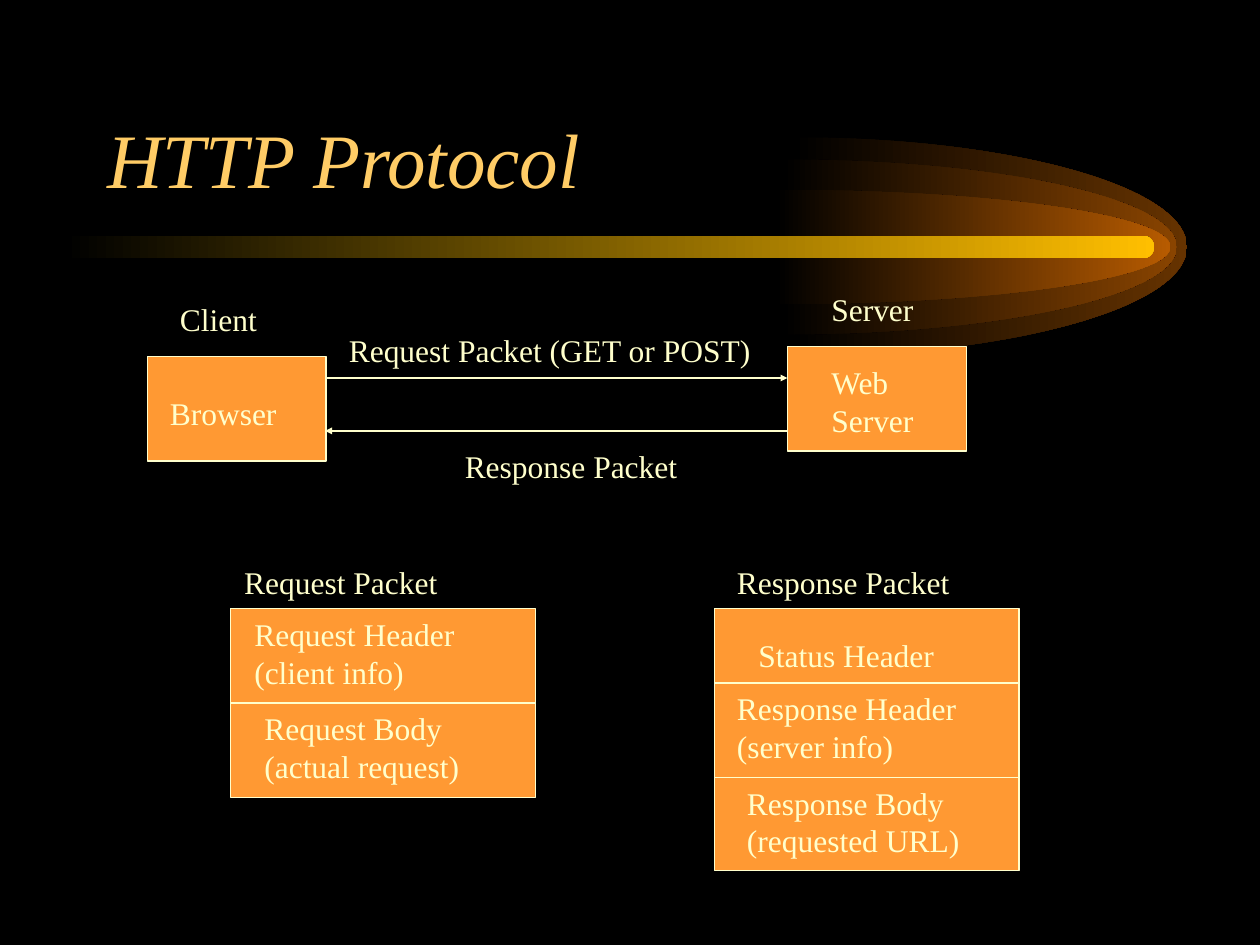
from lxml.etree import SubElement
from pptx import Presentation
from pptx.dml.color import RGBColor
from pptx.enum.shapes import MSO_CONNECTOR, MSO_SHAPE
from pptx.enum.text import MSO_ANCHOR, MSO_AUTO_SIZE, PP_ALIGN
from pptx.oxml.ns import qn
from pptx.util import Inches, Pt

FONT = "Times New Roman"
CREAM, ORANGE, BLACK = "FFFFCC", "FF9933", "000000"


def rgb(code):
    return RGBColor.from_string(code)


def style(run, size, color, italic=False):
    font = run.font
    font.name, font.size, font.italic = FONT, Pt(size), italic
    font.color.rgb = rgb(color)


def fade(shape, color):
    """Fill from black at the left to the colour at the right."""
    shape.shadow.inherit = False
    shape.line.fill.background()
    shape.fill.gradient()
    shape.fill.gradient_angle = 0
    for stop, place, code in zip(shape.fill.gradient_stops, (0, 1), (BLACK, color)):
        stop.position = place
        stop.color.rgb = rgb(code)


def label(slide, x, y, w, *lines):
    box = slide.shapes.add_textbox(Inches(x), Inches(y), Inches(w),
                                   Inches(0.1 + 0.3 * len(lines)))
    frame = box.text_frame
    frame.word_wrap = True
    frame.auto_size = MSO_AUTO_SIZE.SHAPE_TO_FIT_TEXT
    for i, line in enumerate(lines):
        para = frame.add_paragraph() if i else frame.paragraphs[0]
        run = para.add_run()
        run.text = line
        style(run, 18, CREAM)


def panel(slide, x, y, w, h):
    shape = slide.shapes.add_shape(MSO_SHAPE.RECTANGLE, Inches(x), Inches(y),
                                   Inches(w), Inches(h))
    shape.shadow.inherit = False
    shape.fill.solid()
    shape.fill.fore_color.rgb = rgb(ORANGE)
    shape.line.color.rgb = rgb(CREAM)
    shape.line.width = Pt(1)
    return shape


def rule(slide, x1, y1, x2, y2, arrow=False):
    line = slide.shapes.add_connector(MSO_CONNECTOR.STRAIGHT, Inches(x1), Inches(y1),
                                      Inches(x2), Inches(y2))
    line.line.color.rgb = rgb(CREAM)
    line.line.width = Pt(1)
    if arrow:
        SubElement(line.line._get_or_add_ln(), qn("a:tailEnd"),
                   type="triangle", w="sm", len="sm")
    SubElement(line._element.spPr, qn("a:effectLst"))
    return line


def dome(slide, x, y, w, h):
    """Right half of an ellipse, drawn as two curves."""
    wide, half = Inches(w), Inches(h / 2)
    path = slide.shapes.build_freeform(Inches(x), Inches(y))
    path.add_line_segments([(Inches(x + w), Inches(y + h / 2)),
                            (Inches(x), Inches(y + h))], close=True)
    shape = path.convert_to_shape()
    bend = 0.55
    curves = (((bend * wide, 0), (wide, (1 - bend) * half)),
              ((wide, (1 + bend) * half), (bend * wide, 2 * half)))
    for seg, pulls in zip(list(shape._element.iter(qn("a:lnTo"))), curves):
        seg.tag = qn("a:cubicBezTo")
        end = seg[0]
        for px, py in pulls:
            end.addprevious(SubElement(seg, qn("a:pt"), x=str(int(px)), y=str(int(py))))
    return shape


def comet(slide, x, y, w, h):
    """Glowing half ellipses with a bar that runs through their middle."""
    mid = y + h / 2
    for left, tall, color in ((6.29, h, "663300"), (6.21, 1.39, "894400"),
                              (6.16, 0.91, "B75B00")):
        fade(dome(slide, left, mid - tall / 2, 3.13, tall), color)
    bar = slide.shapes.add_shape(MSO_SHAPE.ROUNDED_RECTANGLE, Inches(x),
                                 Inches(mid - 0.09), Inches(w - 0.26), Inches(0.18))
    bar.adjustments[0] = 0.5
    fade(bar, "FFBF00")


def heading(slide, x, y, w, h):
    title = slide.shapes.title
    title.left, title.top, title.width, title.height = map(Inches, (x, y, w, h))
    slide.shapes._spTree.append(title._element)
    frame = title.text_frame
    frame.vertical_anchor = MSO_ANCHOR.BOTTOM
    para = frame.paragraphs[0]
    para.alignment = PP_ALIGN.LEFT
    run = para.add_run()
    run.text = "HTTP Protocol"
    style(run, 44, "FFCC66", italic=True)


def exchange(slide, x, y, w):
    """Browser and server with the two packets between them."""
    wide, high = 1.42, 0.83
    near, far = x + wide - 0.01, x + w - wide
    panel(slide, x, y + 0.08, wide, high)
    panel(slide, far, y, wide, high)
    label(slide, x + 0.16, y - 0.42, 0.92, "Client")
    label(slide, far + 0.25, y - 0.5, 0.9, "Server")
    rule(slide, near, y + 0.25, far, y + 0.25, arrow=True)
    rule(slide, far, y + 0.67, near, y + 0.67, arrow=True)
    label(slide, near + 0.09, y - 0.17, 3.42, "Request Packet (GET or POST)")
    label(slide, near + 1.01, y + 0.75, 1.95, "Response Packet")
    label(slide, x + 0.08, y + 0.33, 1.1, "Browser")
    label(slide, far + 0.25, y + 0.08, 0.9, "Web", "Server")


def packet(slide, x, y, w, h, name, cuts, parts):
    """Panel with its name above, lines at the cuts, and a label for each part."""
    box = panel(slide, x, y, w, h)
    for cut in cuts:
        line = rule(slide, x, y + cut, x + w, y + cut)
        if cut == h / 2:
            line.begin_connect(box, 1)
            line.end_connect(box, 3)
    for dx, dy, size, *lines in [(*name[:1], -0.41, *name[1:])] + parts:
        label(slide, x + dx, y + dy, size, *lines)


def main():
    deck = Presentation()
    deck.slide_width, deck.slide_height = Inches(10), Inches(7.5)
    slide = deck.slides.add_slide(deck.slide_layouts[5])
    back = slide.background.fill
    back.solid()
    back.fore_color.rgb = rgb(BLACK)
    comet(slide, 0.5, 1.09, 8.92, 1.74)
    heading(slide, 0.75, 0.42, 8.5, 1.25)
    exchange(slide, 1.17, 2.75, 6.5)
    packet(slide, 1.83, 4.83, 2.42, 1.5, (0.01, 1.8, "Request Packet"), [0.75], [
        (0.09, 0, 1.85, "Request Header", "(client info)"),
        (0.17, 0.75, 2.08, "Request Body", "(actual request)")])
    packet(slide, 5.67, 4.83, 2.42, 2.08, (0.08, 1.95, "Response Packet"), [0.59, 1.34], [
        (0.25, 0.17, 1.65, "Status Header"),
        (0.08, 0.59, 2, "Response Header", "(server info)"),
        (0.16, 1.34, 2.08, "Response Body", "(requested URL)")])
    deck.save("out.pptx")


if __name__ == "__main__":
    main()
